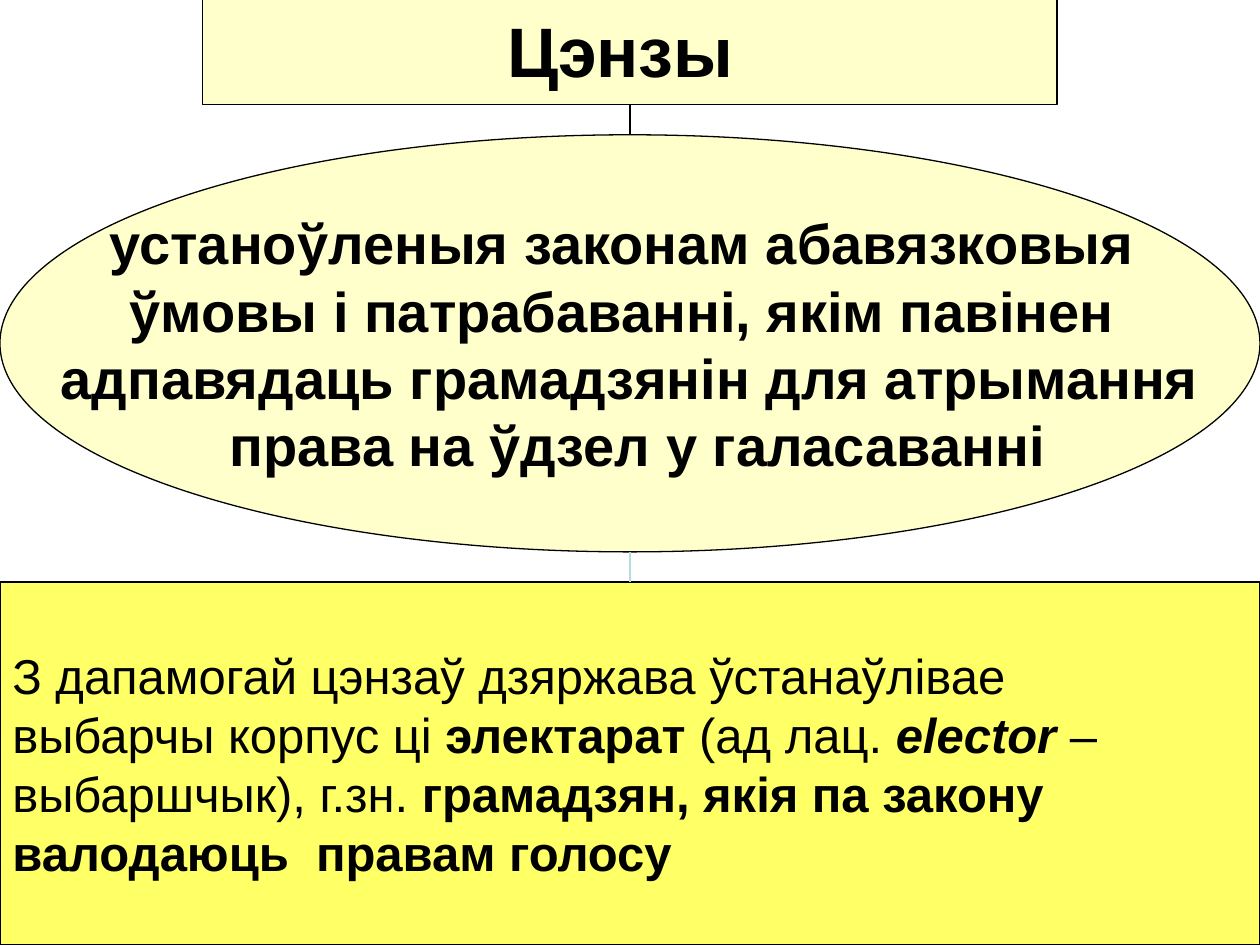
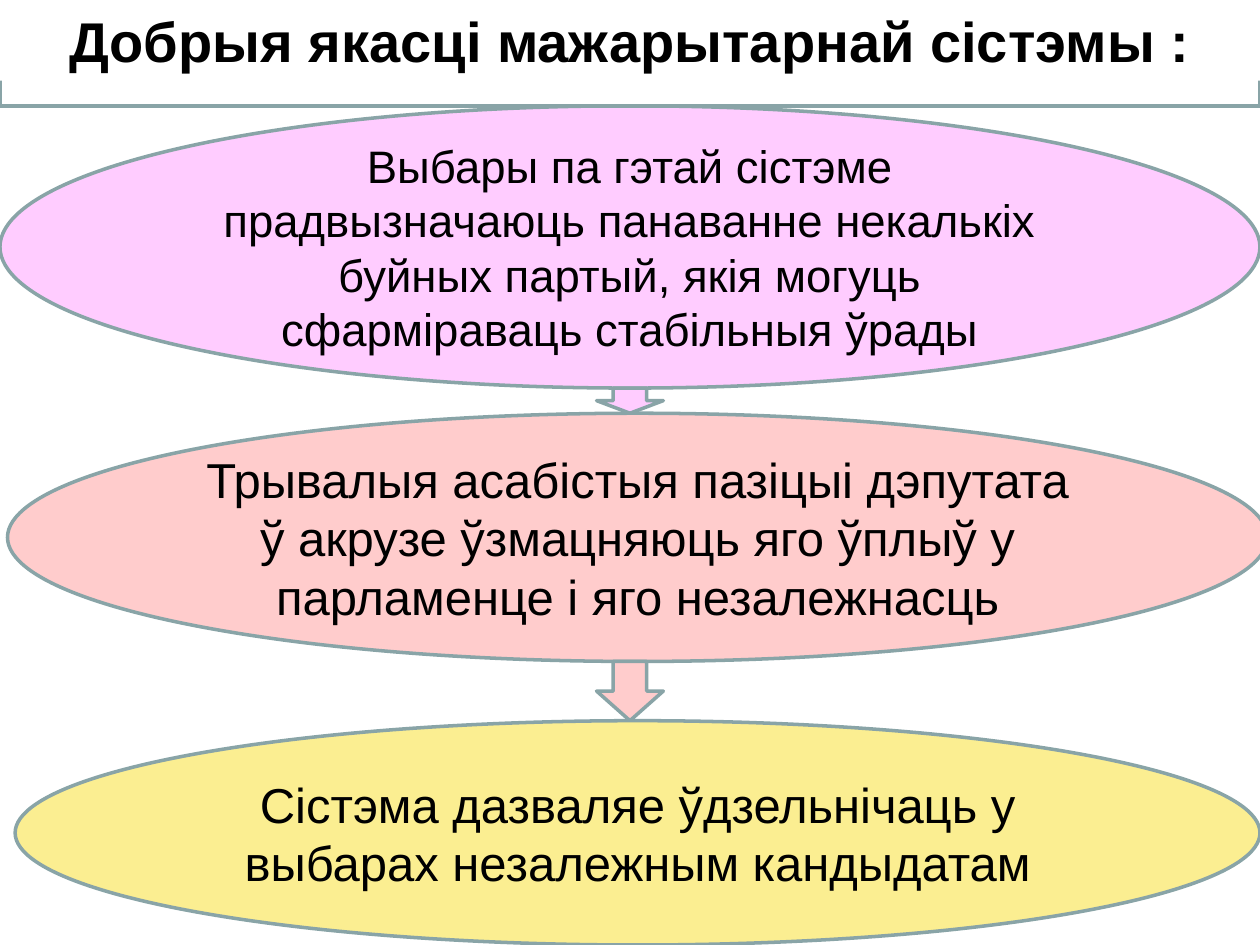
from collections import namedtuple

from lxml.etree import SubElement
from pptx import Presentation
from pptx.dml.color import RGBColor
from pptx.enum.shapes import MSO_CONNECTOR, MSO_SHAPE
from pptx.enum.text import MSO_ANCHOR, MSO_AUTO_SIZE, PP_ALIGN
from pptx.oxml.ns import qn
from pptx.util import Inches, Pt

BLACK = RGBColor(0x00, 0x00, 0x00)
WHITE = RGBColor(0xFF, 0xFF, 0xFF)
CREAM = RGBColor(0xFF, 0xFF, 0xCC)
LEMON = RGBColor(0xFF, 0xFF, 0x66)
PALE_TEAL = RGBColor(0xB6, 0xDC, 0xDF)
GREY_TEAL = RGBColor(0x89, 0xA4, 0xA7)
PINK = RGBColor(0xFF, 0xCC, 0xFF)
ROSE = RGBColor(0xFF, 0xCC, 0xCC)
STRAW = RGBColor(0xFB, 0xEE, 0x91)

FONT = "Arial"
THIN, THICK = 0.75, 2
TOP, BOTTOM = 0, 2
BOLD = {"bold": True}
BOLD_ITALIC = {"bold": True, "italic": True}
FRAME_FORMAT = {
    "margin_left": Inches(0.1),
    "margin_right": Inches(0.1),
    "margin_top": Inches(0.05),
    "margin_bottom": Inches(0.05),
}

Box = namedtuple("Box", "left top width height")
PAGE = Box(0, 0, 10, 7.5)

DEFINITION = [
    [("устаноўленыя законам абавязковыя ", BOLD)],
    [("ўмовы і патрабаванні, якім павінен ", BOLD)],
    [("адпавядаць грамадзянін для атрымання", BOLD)],
    [(" права на ўдзел у галасаванні", BOLD)],
]
ELECTORATE = [
    [("З дапамогай цэнзаў дзяржава ўстанаўлівае ", {})],
    [("выбарчы корпус ці ", {}), ("электарат", BOLD), (" (ад лац. ", {}),
     ("eleсtor ", BOLD_ITALIC), ("– ", {})],
    [("выбаршчык), г.зн. ", {}), ("грамадзян, якія па закону", BOLD)],
    [("валодаюць  правам голосу", BOLD)],
]

Merit = namedtuple("Merit", "text size fill width height gap_below")
MERITS = [
    Merit("Выбары па гэтай сістэме прадвызначаюць панаванне некалькіх буйных "
          "партый, якія могуць сфарміраваць стабільныя ўрады",
          26, PINK, 10, 2.24, 0.2),
    Merit("Трывалыя асабістыя пазіцыі дэпутата ў акрузе ўзмацняюць яго ўплыў "
          "у парламенце і яго незалежнасць",
          28, ROSE, 10, 1.97, 0.47),
    Merit("Сістэма дазваляе ўдзельнічаць у выбарах незалежным кандыдатам",
          28, STRAW, 9.88, 1.78, 0),
]
MERIT_SHIFT = 0.06
ARROW_WIDTH = 0.53


def apply_format(target, values):
    for name, value in values.items():
        setattr(target, name, value)


def add_panel(slide, preset, box, fill, line=None, weight=THIN):
    panel = slide.shapes.add_shape(preset, *map(Inches, box))
    panel.shadow.inherit = False
    panel.fill.solid()
    panel.fill.fore_color.rgb = fill
    if line is None:
        panel.line.fill.background()
    else:
        panel.line.color.rgb = line
        panel.line.width = Pt(weight)
    return panel


def write_text(panel, paragraphs, size, align=PP_ALIGN.CENTER, **frame_format):
    frame = panel.text_frame
    apply_format(frame, {**FRAME_FORMAT, "word_wrap": True,
                         "vertical_anchor": MSO_ANCHOR.MIDDLE, **frame_format})
    for index, pieces in enumerate(paragraphs):
        paragraph = frame.add_paragraph() if index else frame.paragraphs[0]
        paragraph.alignment = align
        for text, emphasis in pieces:
            run = paragraph.add_run()
            run.text = text
            run.font.color.rgb = BLACK
            apply_format(run.font, {"name": FONT, "size": Pt(size),
                                    "bold": False, **emphasis})


def add_link(slide, x, start, end, color):
    link = slide.shapes.add_connector(
        MSO_CONNECTOR.STRAIGHT, *map(Inches, (x, start, x, end)))
    link.line.color.rgb = color
    link.line.width = Pt(THIN)
    SubElement(link._element.spPr, qn("a:effectLst"))
    return link


def build_census_slide(slide, box):
    middle = box.left + box.width / 2
    heading_width = 6.78
    heading_box = Box(middle - heading_width / 2, box.top - 0.05, heading_width, 0.88)
    oval_box = Box(box.left, box.top + 1.07, box.width, 3.31)
    note_box = Box(box.left, box.top + 4.62, box.width, box.height - 4.62)

    heading = add_panel(slide, MSO_SHAPE.RECTANGLE, heading_box, CREAM, BLACK)
    write_text(heading, [[("Цэнзы ", BOLD)]], 40, word_wrap=False)
    definition = add_panel(slide, MSO_SHAPE.OVAL, oval_box, CREAM, BLACK)
    write_text(definition, DEFINITION, 32, word_wrap=False)
    note = add_panel(slide, MSO_SHAPE.RECTANGLE, note_box, LEMON, BLACK)
    write_text(note, ELECTORATE, 28, PP_ALIGN.JUSTIFY)

    upper_link = add_link(slide, middle, heading_box.top + heading_box.height,
                          oval_box.top, BLACK)
    upper_link.begin_connect(heading, BOTTOM)
    upper_link.end_connect(definition, TOP)
    lower_link = add_link(slide, middle, oval_box.top + oval_box.height,
                          note_box.top, PALE_TEAL)
    lower_link.end_connect(note, TOP)


def build_merit_chain(slide, box):
    top = box.top
    arrow_left = box.left + (box.width - ARROW_WIDTH) / 2
    for index, merit in enumerate(MERITS):
        oval_box = Box(box.left + index * MERIT_SHIFT, top, merit.width, merit.height)
        oval = add_panel(slide, MSO_SHAPE.OVAL, oval_box, merit.fill, GREY_TEAL, THICK)
        write_text(oval, [[(merit.text, {})]], merit.size)
        top += merit.height
        if merit.gap_below:
            arrow_box = Box(arrow_left, top, ARROW_WIDTH, merit.gap_below)
            add_panel(slide, MSO_SHAPE.DOWN_ARROW, arrow_box, merit.fill,
                      GREY_TEAL, THICK)
        top += merit.gap_below


def build_title_band(slide, box):
    add_panel(slide, MSO_SHAPE.RECTANGLE, box, WHITE, GREY_TEAL, THICK)
    title = add_panel(slide, MSO_SHAPE.RECTANGLE, box._replace(height=0.64), WHITE)
    write_text(title, [[("Добрыя якасці мажарытарнай сістэмы :", BOLD)]], 32,
               vertical_anchor=MSO_ANCHOR.TOP,
               auto_size=MSO_AUTO_SIZE.SHAPE_TO_FIT_TEXT)


def build_majority_slide(slide, box):
    band = box._replace(height=0.84)
    build_merit_chain(slide, box._replace(top=box.top + band.height,
                                          height=box.height - band.height))
    build_title_band(slide, band)


def main():
    deck = Presentation()
    deck.slide_width, deck.slide_height = Inches(PAGE.width), Inches(PAGE.height)
    blank = deck.slide_layouts[6]
    for build in (build_census_slide, build_majority_slide):
        build(deck.slides.add_slide(blank), PAGE)
    deck.save("out.pptx")


if __name__ == "__main__":
    main()
